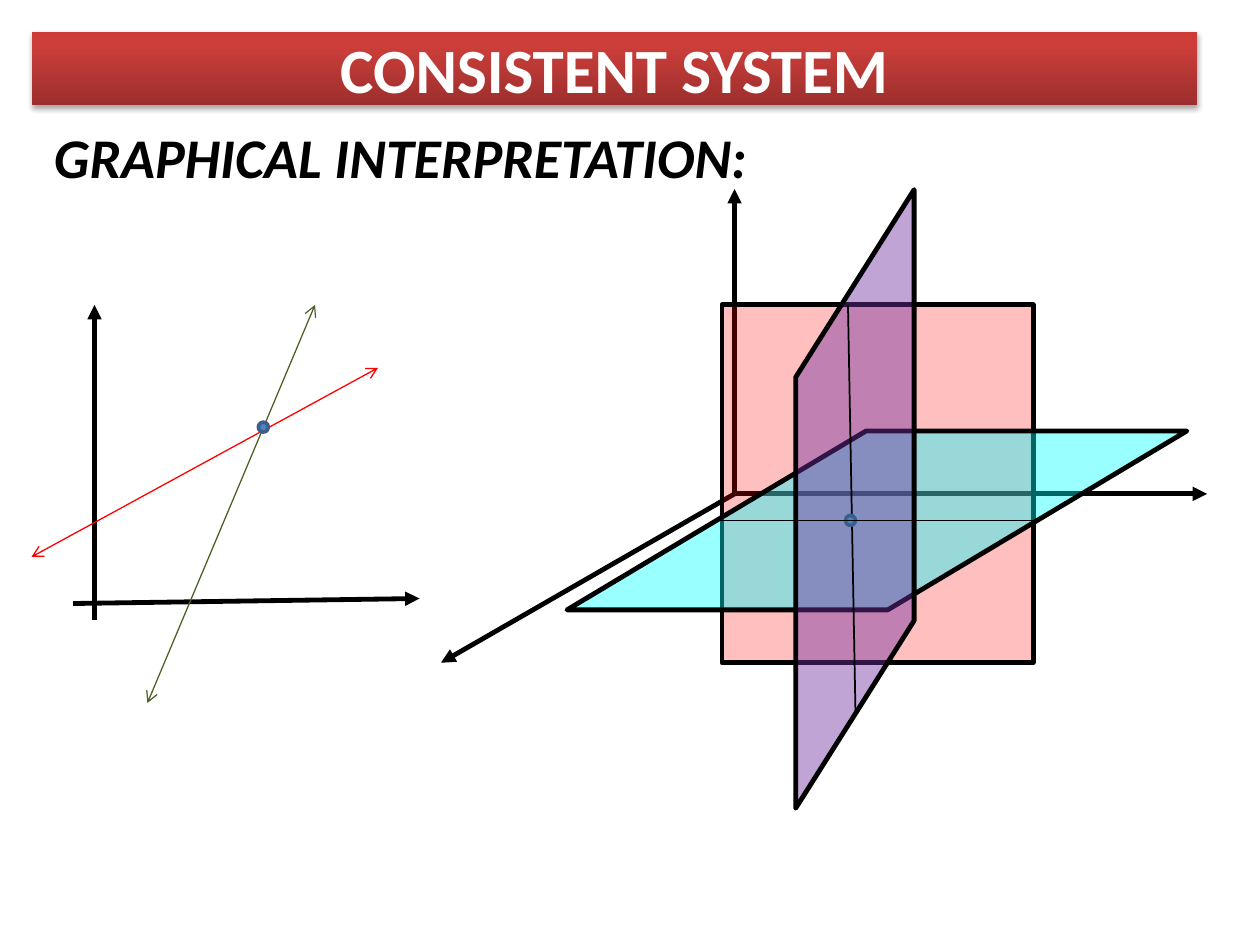
from copy import deepcopy

from lxml import etree
from pptx import Presentation
from pptx.dml.color import RGBColor
from pptx.enum import shapes, text
from pptx.oxml import ns
from pptx.util import Inches, Pt

BLACK = "000000"
PRESET = shapes.MSO_SHAPE


def write(box, words, size, color="FFFFFF", align=text.PP_ALIGN.LEFT, italic=False):
    para = box.text_frame.paragraphs[0]
    para.alignment = align
    span = para.add_run()
    span.text = words
    font = span.font
    font.name, font.size = "Calibri", Pt(size)
    font.bold, font.italic = True, italic
    font.color.rgb = RGBColor.from_string(color)


def add_xml(parent, tag, **attributes):
    return etree.SubElement(parent, ns.qn(tag), attributes)


deck = Presentation()
deck.slide_width, deck.slide_height = Inches(10), Inches(7.5)
page = deck.slides.add_slide(deck.slide_layouts[6])

# Heading
heading = page.shapes.add_textbox(Inches(0.33), Inches(0.92), Inches(9.08), Inches(6.17))
heading.text_frame.word_wrap = True
write(heading, "GRAPHICAL INTERPRETATION:", 32, color=BLACK, italic=True)

# Title banner: three-stop gradient and soft shadow
banner = page.shapes.add_shape(
    PRESET.RECTANGLE, Inches(0.25), Inches(0.25), Inches(9.25), Inches(0.58))
banner.line.fill.background()
banner.fill.gradient()
banner.fill.gradient_angle = 90
stop_list = banner.element.spPr.find(".//" + ns.qn("a:gsLst"))
stop_list.append(deepcopy(stop_list[-1]))
gradient = [(0, "9C2F2D"), (0.8, "CB3E3A"), (1, "CE3B37")]
for stop, (position, color) in zip(banner.fill.gradient_stops, gradient):
    stop.position = position
    stop.color.rgb = RGBColor.from_string(color)
banner.shadow.inherit = False
effects = banner.element.spPr.find(ns.qn("a:effectLst"))
shadow = add_xml(effects, "a:outerShdw", blurRad=str(Pt(3.1)), dist=str(Pt(1.8)),
                 dir="5400000", rotWithShape="0")
add_xml(add_xml(shadow, "a:srgbClr", val=BLACK), "a:alpha", val="35000")
banner.text_frame.vertical_anchor = text.MSO_ANCHOR.MIDDLE
write(banner, "CONSISTENT SYSTEM", 36, align=text.PP_ALIGN.CENTER)

# Each part is a line (start, end, color, width, head, tail)
# or a shape (preset, frame, fill, opacity, line color, line width, adjustment, rotation)
AXIS = (BLACK, 2.75, None, "triangle")
POINT = ("4F81BD", 100, "3A5F8C", 2, None, 0)
plane_graph = [
    ("line", (0.58, 4.79), (3.33, 4.75), *AXIS),
    ("line", (0.75, 4.92), (0.75, 2.42), *AXIS),
    ("line", (0.25, 4.42), (3, 2.92), "FF0000", 0.75, "arrow", "arrow"),
    ("line", (1.17, 5.58), (2.5, 2.42), "4F6228", 0.75, "arrow", "arrow"),
    ("shape", PRESET.OVAL, (2.05, 3.35, 0.08, 0.08), *POINT),
]
origin = (5.83, 3.92)
space_graph = [
    *[("line", origin, end, *AXIS) for end in [(9.58, 3.92), (5.83, 1.5), (3.5, 5.26)]],
    ("shape", PRESET.RECTANGLE, (5.73, 2.42, 2.47, 2.84),
     "FF0000", 25, BLACK, 2.75, None, 0),
    ("shape", PRESET.PARALLELOGRAM, (4.5, 3.42, 4.92, 1.42),
     "00FFFF", 40, BLACK, 2.75, 1.672, 0),
    ("shape", PRESET.PARALLELOGRAM, (4.33, 3.49, 4.91, 0.94),
     "7030A0", 44, BLACK, 2.75, 1.584, 270),
    ("line", (6.73, 2.42), (6.79, 5.67), BLACK, 1, None, None),
    ("shape", PRESET.OVAL, (6.71, 4.09, 0.08, 0.08), *POINT),
    ("line", (5.69, 4.13), (8.23, 4.13), BLACK, 0.75, None, None),
]

for kind, *part in plane_graph + space_graph:
    if kind == "line":
        start, end, line_color, width, head, tail = part
        item = page.shapes.add_connector(
            shapes.MSO_CONNECTOR.STRAIGHT, *[Inches(value) for value in start + end])
        add_xml(item.element.spPr, "a:effectLst")
    else:
        preset, frame, fill, opacity, line_color, width, adjustment, rotation = part
        head = tail = None
        item = page.shapes.add_shape(preset, *[Inches(value) for value in frame])
        item.shadow.inherit = False
        item.fill.solid()
        item.fill.fore_color.rgb = RGBColor.from_string(fill)
        if opacity < 100:
            fill_color = item.element.spPr.find(".//" + ns.qn("a:srgbClr"))
            add_xml(fill_color, "a:alpha", val=str(opacity * 1000))
        if adjustment:
            item.adjustments[0] = adjustment
        if rotation:
            item.rotation = rotation
            item.element.spPr.find(ns.qn("a:xfrm")).set("flipV", "1")
    item.line.color.rgb = RGBColor.from_string(line_color)
    item.line.width = Pt(width)
    outline = item.element.spPr.find(ns.qn("a:ln"))
    for tag, arrow in [("a:headEnd", head), ("a:tailEnd", tail)]:
        if arrow:
            add_xml(outline, tag, type=arrow)

deck.save("out.pptx")
